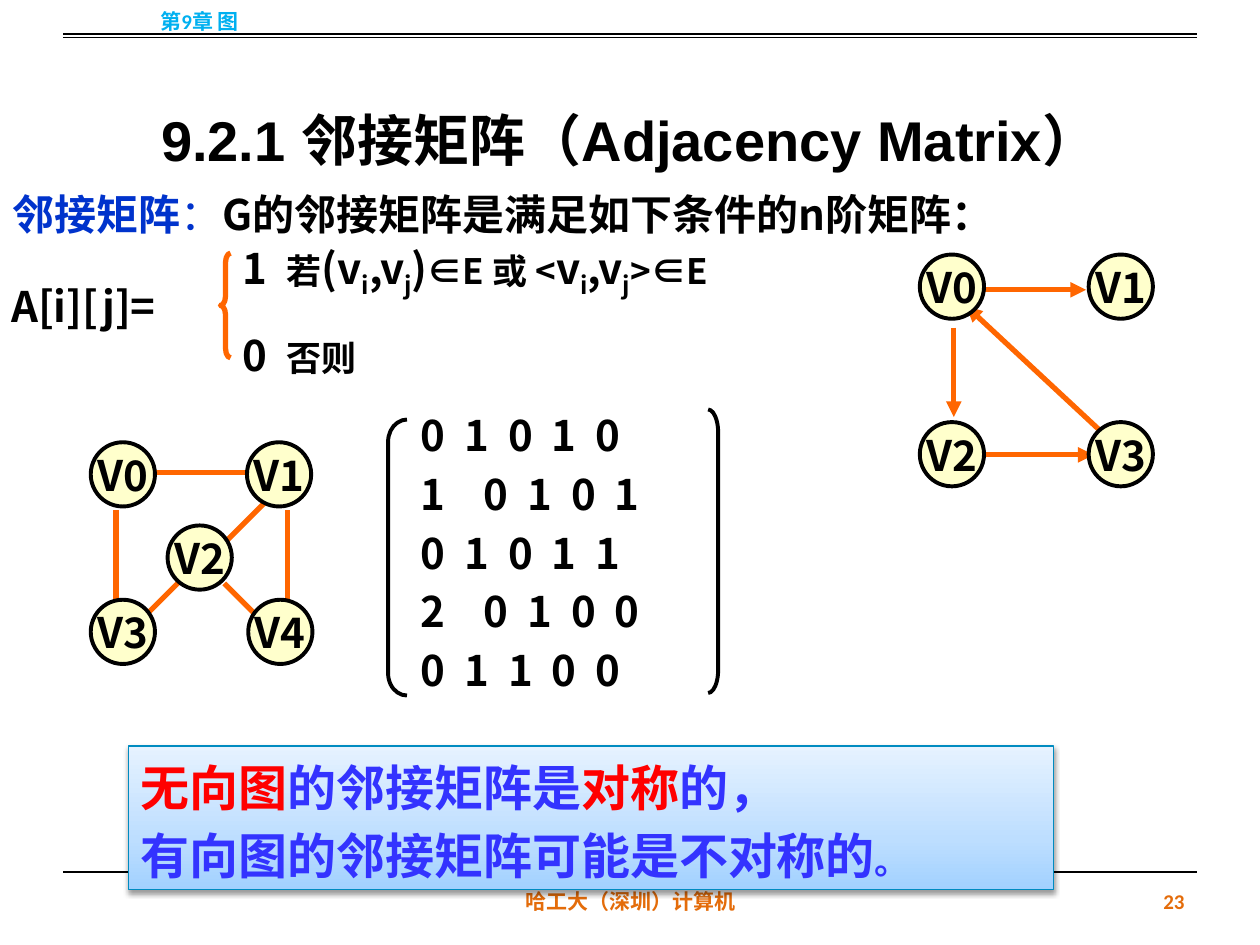
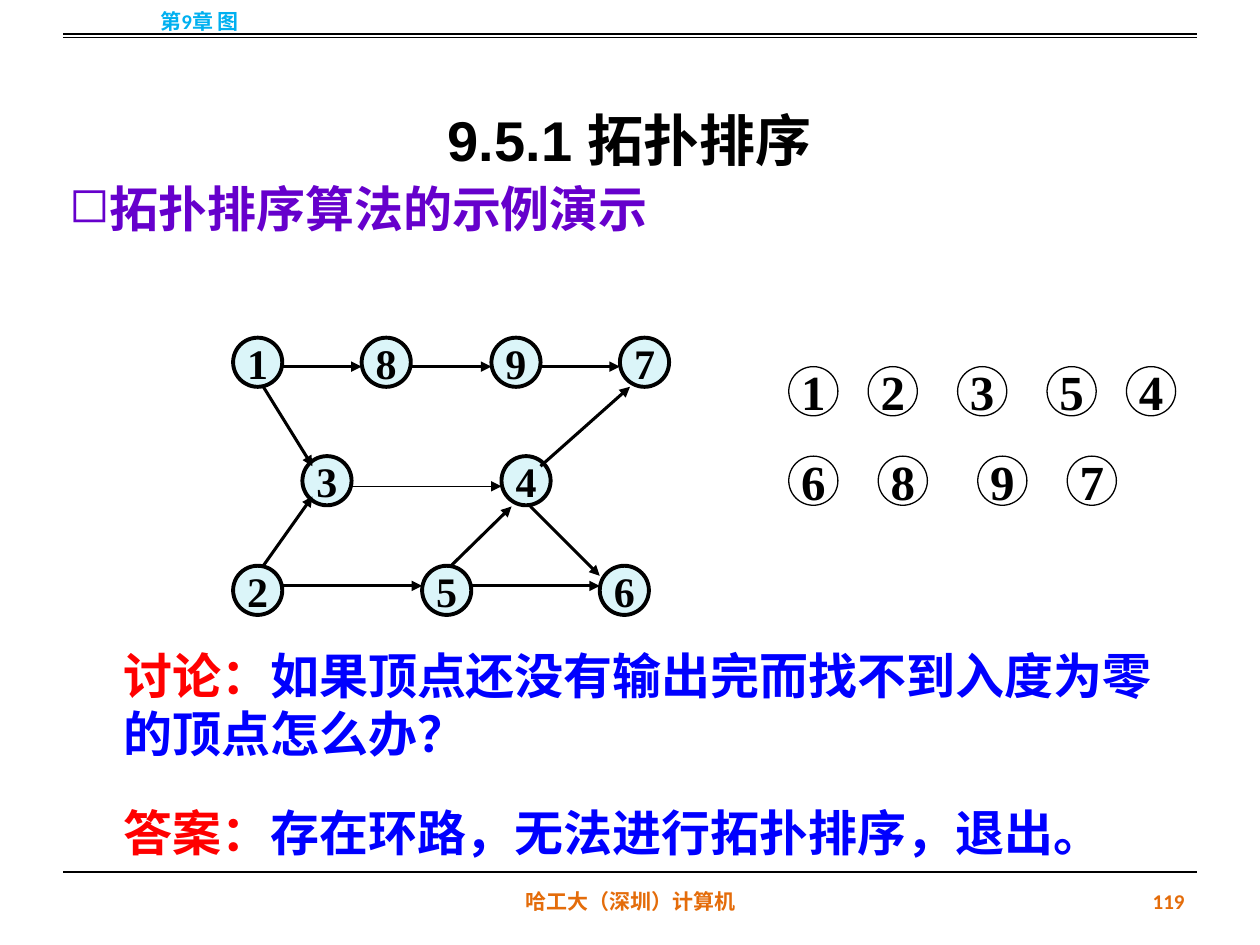
from dataclasses import dataclass, replace
from typing import NamedTuple

from lxml.etree import SubElement
from pptx import Presentation
from pptx.dml.color import RGBColor
from pptx.enum.shapes import MSO_CONNECTOR, MSO_SHAPE
from pptx.enum.text import MSO_ANCHOR, PP_ALIGN
from pptx.oxml.ns import qn
from pptx.util import Inches, Pt

# Shared colours and fonts
BLACK, RED, BLUE = "000000", "FF0000", "0000FF"
ORANGE, CREAM, ICE = "FF6600", "FFFFCC", "DBF5F9"
HAN = "Noto Sans CJK SC"
TIMES = "Times New Roman"
MID = MSO_ANCHOR.MIDDLE


class Box(NamedTuple):
    left: float
    top: float
    width: float
    height: float


class Edge(NamedTuple):
    x1: float
    y1: float
    x2: float
    y2: float


@dataclass(frozen=True)
class Style:
    size: float
    color: str = BLACK
    font: str = HAN
    align: PP_ALIGN = PP_ALIGN.LEFT
    anchor: MSO_ANCHOR = MSO_ANCHOR.TOP
    line: float = 0  # line height in points, 1.2 of the size if 0


class Run(NamedTuple):
    text: str
    color: str = ""
    size: float = 0
    sub: bool = False
    bold: bool = True
    track: float = 0


class Para(NamedTuple):
    runs: list[Run]
    before: float = 0
    hang: float = 0
    bullet: str = ""
    number: bool = False


@dataclass(frozen=True)
class Look:
    """Outline, fill and text of a round node."""
    size: float
    fill: str
    weight: float
    text: Style


def rgb(code: str) -> RGBColor:
    return RGBColor.from_string(code)


def write(shape, paras: list[Para], style: Style) -> None:
    frame = shape.text_frame
    frame.vertical_anchor = style.anchor
    for i, para in enumerate(paras):
        p = frame.paragraphs[0] if i == 0 else frame.add_paragraph()
        p.alignment = style.align
        p.line_spacing = Pt(style.line or style.size * 1.2)
        if i:
            p.space_before = Pt(para.before)
        props = p._p.get_or_add_pPr()
        if para.hang:
            props.set("marL", str(Inches(para.hang)))
            props.set("indent", str(-Inches(para.hang)))
        if para.number:
            SubElement(props, qn("a:buAutoNum"), type="arabicPlain")
        elif para.bullet:
            SubElement(props, qn("a:buChar"), char=para.bullet)
        else:
            SubElement(props, qn("a:buNone"))
        for item in para.runs:
            run = p.add_run()
            run.text = item.text
            font = run.font
            font.name, font.bold = style.font, item.bold
            font.size = Pt(item.size or style.size)
            font.color.rgb = rgb(item.color or style.color)
            attrs = run._r.get_or_add_rPr()
            SubElement(attrs, qn("a:ea"), typeface=HAN)
            if item.sub:
                attrs.set("baseline", "-25000")
            if item.track:
                attrs.set("spc", str(round(item.track * 100)))


def inset(shape, side: float, top: float, low: float) -> None:
    frame = shape.text_frame
    frame.margin_left = frame.margin_right = Inches(side)
    frame.margin_top, frame.margin_bottom = Inches(top), Inches(low)


def text(slide, box: Box, paras: list[Para], style: Style,
         side: float = 0.1, top: float = 0.05) -> None:
    shape = slide.shapes.add_textbox(*map(Inches, box))
    shape.text_frame.word_wrap = True
    inset(shape, side, top, 0.05)
    write(shape, paras, style)


def label(slide, box: Box, words: str, style: Style) -> None:
    text(slide, box, [Para([Run(words)])], style)


def form(slide, kind: MSO_SHAPE, box: Box, color: str, weight: float, fill: str = ""):
    shape = slide.shapes.add_shape(kind, *map(Inches, box))
    shape.shadow.inherit = False
    shape.line.color.rgb = rgb(color)
    shape.line.width = Pt(weight)
    if fill:
        shape.fill.solid()
        shape.fill.fore_color.rgb = rgb(fill)
    else:
        shape.fill.background()
    return shape


def line(slide, edge: Edge, color: str = BLACK, weight: float = 0.75,
         arrow: bool = False) -> None:
    link = slide.shapes.add_connector(MSO_CONNECTOR.STRAIGHT, *map(Inches, edge))
    link.line.color.rgb = rgb(color)
    link.line.width = Pt(weight)
    if arrow:
        SubElement(link.line._get_or_add_ln(), qn("a:tailEnd"), type="triangle")
    SubElement(link._element.spPr, qn("a:effectLst"))


def node(slide, name: str, x: float, y: float, look: Look) -> None:
    shape = form(slide, MSO_SHAPE.OVAL, Box(x, y, look.size, look.size),
                 BLACK, look.weight, look.fill)
    inset(shape, 0, 0, 0)
    shape.text_frame.word_wrap = False
    write(shape, [Para([Run(name)])], look.text)


# Shared frame: title, rules, chapter and footer
TITLE = Style(32, font="Arial", align=PP_ALIGN.CENTER, anchor=MID, line=64)
FOOT = Style(12, "E46C0A", "Calibri", PP_ALIGN.CENTER, MID)


def base(deck, title: str, page: int):
    slide = deck.slides.add_slide(deck.slide_layouts[6])
    label(slide, Box(0.5, 0.3, 9, 1.25), title, TITLE)
    label(slide, Box(3.42, 6.95, 3.17, 0.4), "哈工大（深圳）计算机", FOOT)
    label(slide, Box(7.17, 6.95, 2.33, 0.4), str(page),
          replace(FOOT, align=PP_ALIGN.RIGHT))
    label(slide, Box(0, -0.03, 3.17, 0.4), "第9章 图", replace(FOOT, color="00B0F0"))
    for y in (0.27, 0.3, 6.92):
        line(slide, Edge(0.5, y, 9.5, y))
    return slide


# Slide 1: adjacency matrix
BODY = Style(24)
CENTER = Style(24, align=PP_ALIGN.CENTER, anchor=MID)
VERTEX = Look(0.51, CREAM, 2.25, CENTER)
PLAIN = [Edge(0.92, 4.05, 0.92, 4.77), Edge(1.21, 3.75, 2.04, 3.75),
         Edge(2.28, 4.05, 2.28, 4.77), Edge(1.45, 4.59, 1.15, 4.89),
         Edge(2.1, 3.99, 1.8, 4.29), Edge(1.78, 4.63, 2.04, 4.89)]
ARCS = [Edge(7.57, 2.6, 7.57, 3.31), Edge(7.81, 3.61, 8.68, 3.61),
        Edge(7.81, 2.3, 8.62, 2.3), Edge(8.83, 3.51, 7.67, 2.43)]
LEFT = {"V0": (0.72, 3.51), "V1": (1.96, 3.51), "V2": (1.33, 4.17),
        "V3": (0.72, 4.76), "V4": (1.97, 4.76)}
RIGHT = {f"V{i}": (7.3 + 1.34 * (i % 2), 2.02 + 1.33 * (i // 2)) for i in range(4)}
ROWS = ["0 1 0 1 0", "0 1 0 1", "0 1 0 1 1", "0 1 0 0", "0 1 1 0 0"]
WIDE = 2.7  # tracking that opens up the columns


def pair(start: str) -> list[Run]:
    return [Run(start), Run("i", sub=True), Run(",v"), Run("j", sub=True)]


def banner(slide) -> None:
    shape = form(slide, MSO_SHAPE.RECTANGLE, Box(1.02, 5.92, 7.34, 1.14), "008BC0", 0.75)
    shape.fill.gradient()
    shape.fill.gradient_angle = 90
    props = shape._element.spPr
    stops = props.find(qn("a:gradFill")).find(qn("a:gsLst"))
    for old in list(stops):
        stops.remove(old)
    for at, color in ((0, "A2D1FF"), (35, "BDDEFF"), (100, "E6F2FF")):
        stop = SubElement(stops, qn("a:gs"), pos=str(at * 1000))
        SubElement(stop, qn("a:srgbClr"), val=color)
    cast = SubElement(props.find(qn("a:effectLst")), qn("a:outerShdw"),
                      blurRad=str(Pt(3.1)), dist=str(Pt(1.6)), dir="5400000",
                      rotWithShape="0")
    tint = SubElement(cast, qn("a:srgbClr"), val=BLACK)
    SubElement(tint, qn("a:alpha"), val="38000")
    inset(shape, 0.1, 0.09, 0.05)
    shape.text_frame.word_wrap = True
    write(shape, [
        Para([Run("无向图", RED), Run("的邻接矩阵是"), Run("对称", RED), Run("的，")]),
        Para([Run("有向图的邻接矩阵可能是不对称的"), Run("。", size=20)], before=5.6),
    ], Style(28, "3333FF", "TeX Gyre Pagella"))


def matrix(deck) -> None:
    slide = base(deck, "9.2.1 邻接矩阵（Adjacency Matrix）", 23)
    text(slide, Box(0, 1.45, 10, 0.5), [Para([
        Run("邻接矩阵", "0033CC"), Run("：", "0033CC", bold=False),
        Run("G的邻接矩阵是满足如下条件的n阶矩阵：")])], BODY)
    # Definition by cases
    label(slide, Box(-0.01, 2.18, 3.01, 0.5), "A[i][j]=", BODY)
    text(slide, Box(1.83, 1.93, 8.17, 1.11), [
        Para([Run("1 ", track=WIDE), Run("若", size=20), *pair("(v"), Run(")"),
              Run("∈E 或 <", size=20), *pair("v"), Run(">∈E", size=20)]),
        Para([Run("0 ", track=WIDE), Run("否则", size=20)], before=17),
    ], BODY)
    brace = form(slide, MSO_SHAPE.LEFT_BRACE, Box(1.75, 2.01, 0.08, 0.83), ORANGE, 3)
    brace.adjustments[0] = 0.91
    # Matrix, short rows numbered
    text(slide, Box(3.24, 3.17, 3.31, 2.42),
         [Para([Run(row, track=WIDE)], before=4.8, hang=0.5, number=i % 2 == 1)
          for i, row in enumerate(ROWS)], BODY, top=0.08)
    for kind, box, bend in (
            (MSO_SHAPE.LEFT_BRACKET, Box(3.08, 3.33, 0.15, 2.19), 1.18),
            (MSO_SHAPE.RIGHT_BRACKET, Box(5.62, 3.25, 0.08, 2.25), 2.35)):
        form(slide, kind, box, BLACK, 2.25).adjustments[0] = bend
    # Undirected and directed graphs
    for edges, spots, arrow in ((PLAIN, LEFT, False), (ARCS, RIGHT, True)):
        for edge in edges:
            line(slide, edge, ORANGE, 3, arrow)
        for name, (x, y) in spots.items():
            node(slide, name, x, y, VERTEX)
    banner(slide)


# Slide 2: topological sort
TASK = Look(0.39, ICE, 2.25, replace(CENTER, font=TIMES))
DONE = Look(0.39, "", 0.75, replace(CENTER, font=TIMES, size=28))
GRAPH = {2.68: {"1": 1.85, "8": 2.87, "9": 3.9, "7": 4.92},
         3.62: {"3": 2.4, "4": 3.98},
         4.49: {"2": 1.85, "5": 3.35, "6": 4.76}}
ORDER = {2.91: {"1": 6.26, "2": 6.89, "3": 7.6, "5": 8.31, "4": 8.94},
         3.62: {"6": 6.26, "8": 6.97, "9": 7.76, "7": 8.47}}
STEPS = [Edge(2.09, 3.07, 2.48, 3.7), Edge(2.09, 4.49, 2.48, 3.94),
         Edge(2.24, 2.91, 2.87, 2.91), Edge(3.27, 2.91, 3.9, 2.91),
         Edge(4.29, 2.91, 4.92, 2.91), Edge(2.24, 4.65, 3.35, 4.65),
         Edge(3.74, 4.65, 4.76, 4.65), Edge(3.58, 4.49, 4.06, 4.02),
         Edge(4.29, 3.7, 5, 3.07), Edge(4.21, 4.02, 4.76, 4.57)]
TALK = [(5.08, 0.93, "讨论：", "如果顶点还没有输出完而找不到入度为零的顶点怎么办？"),
        (6.33, 0.47, "答案：", "存在环路，无法进行拓扑排序，退出。")]


def sort(deck) -> None:
    slide = base(deck, "9.5.1 拓扑排序", 119)
    for rows, look in ((GRAPH, TASK), (ORDER, DONE)):
        for y, spots in rows.items():
            for name, x in spots.items():
                node(slide, name, x, y, look)
    for edge in STEPS:
        line(slide, edge, weight=1.75, arrow=True)
    line(slide, Edge(2.8, 3.86, 3.98, 3.86), arrow=True)
    # Heading, question and answer
    head = Style(28, "6600CC", TIMES)
    text(slide, Box(0.45, 1.34, 8.25, 0.57),
         [Para([Run("拓扑排序算法的示例演示")], hang=0.32, bullet="◻")], head, top=0.08)
    for y, height, lead, words in TALK:
        text(slide, Box(0.98, y, 8.35, height), [Para([Run(lead, RED), Run(words)])],
             replace(head, color=BLUE), side=0, top=0.04)


def main() -> None:
    deck = Presentation()
    deck.slide_width, deck.slide_height = Inches(10), Inches(7.5)
    matrix(deck)
    sort(deck)
    deck.save("out.pptx")


if __name__ == "__main__":
    main()
